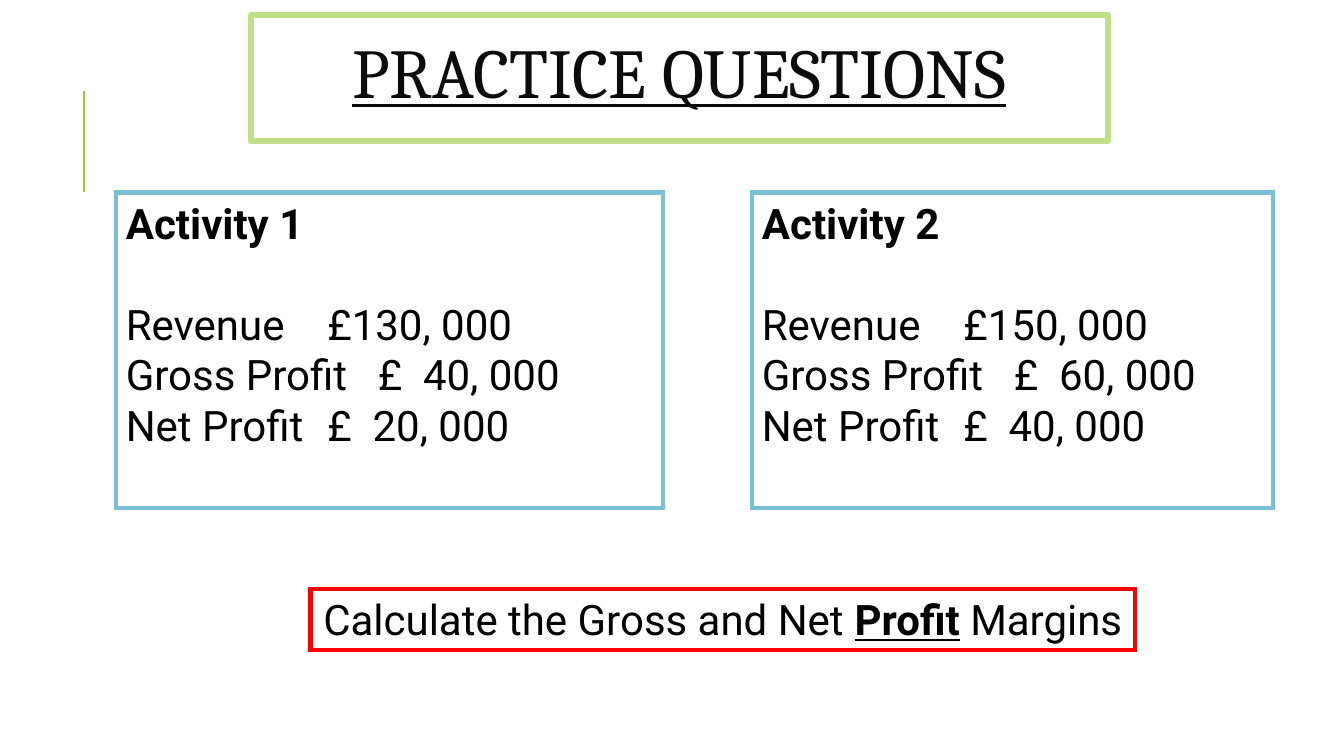
from lxml.etree import SubElement
from pptx import Presentation
from pptx.dml.color import RGBColor
from pptx.enum.shapes import MSO_CONNECTOR as Connector, MSO_SHAPE as Shape
from pptx.enum.text import MSO_ANCHOR as Anchor, PP_ALIGN as Align
from pptx.oxml.ns import qn
from pptx.util import Pt

COLOURS = {
    "paper": "FFFFFF",
    "text": "000000",
    "title": "0C0C0C",
    "title_border": "C1DF87",
    "accent": "99CB38",
    "activity": "7AC0D4",
    "task": "FF0000",
}


def colour(name):
    return RGBColor.from_string(COLOURS[name])


def add_frame(page, box, border, weight, join="miter", anchor=Anchor.TOP):
    frame = page.shapes.add_shape(Shape.RECTANGLE, *map(Pt, box))
    frame.shadow.inherit = False
    frame.fill.solid()
    frame.fill.fore_color.rgb = colour("paper")
    frame.line.color.rgb = colour(border)
    frame.line.width = Pt(weight)
    SubElement(frame._element.spPr.find(qn("a:ln")), qn(f"a:{join}"))
    frame.text_frame.word_wrap = True
    frame.text_frame.vertical_anchor = anchor
    return frame.text_frame


def format_para(para, size=30, font="Roboto", ink="text", align=Align.LEFT):
    para.alignment = align
    for span in para.runs:
        span.font.size = Pt(size)
        span.font.name = font
        span.font.color.rgb = colour(ink)


def add_accent(page, left, top, height):
    accent = page.shapes.add_connector(
        Connector.STRAIGHT, Pt(left), Pt(top + height), Pt(left), Pt(top))
    accent.line.color.rgb = colour("accent")
    accent.line.width = Pt(1.5)
    SubElement(accent._element.spPr, qn("a:effectLst"))


def add_title(page, box, title):
    text = add_frame(page, box, "title_border", 4.5, "round", Anchor.MIDDLE)
    text.text = title
    para = text.paragraphs[0]
    para.line_spacing = 0.8
    format_para(para, 50, "Cambria", "title", Align.CENTER)
    para.runs[0].font.underline = True


def add_activity(page, box, heading, figures):
    text = add_frame(page, box, "activity", 3)
    text.text = heading
    for label, amount in figures:
        text.add_paragraph().text = f"{label}\t£{amount}"
    for para in text.paragraphs:
        format_para(para)
    text.paragraphs[0].runs[0].font.bold = True
    text.paragraphs[1].space_before = Pt(36)


def add_task(page, box, before, keyword, after):
    text = add_frame(page, box, "task", 3)
    para = text.paragraphs[0]
    for words in (before, keyword, after):
        para.add_run().text = words
    format_para(para, align=Align.CENTER)
    para.runs[1].font.bold = True
    para.runs[1].font.underline = True


def main():
    deck = Presentation()
    deck.slide_width, deck.slide_height = Pt(960), Pt(540)
    page = deck.slides.add_slide(deck.slide_layouts[6])
    add_accent(page, 60, 65, 72)
    add_activity(page, (82.8, 137.5, 391, 225.4), "Activity 1", [
        ("Revenue ", "130, 000"),
        ("Gross Profit", "  40, 000"),
        ("Net Profit", "  20, 000"),
    ])
    add_task(page, (221.8, 420.5, 589, 44),
             "Calculate the Gross and Net ", "Profit", " Margins")
    add_activity(page, (537.1, 137.5, 372.2, 225.4), "Activity 2", [
        ("Revenue ", "150, 000"),
        ("Gross Profit", "  60, 000"),
        ("Net Profit", "  40, 000"),
    ])
    add_title(page, (179.3, 10.8, 612, 90), "PRACTICE QUESTIONS")
    deck.save("out.pptx")


if __name__ == "__main__":
    main()
